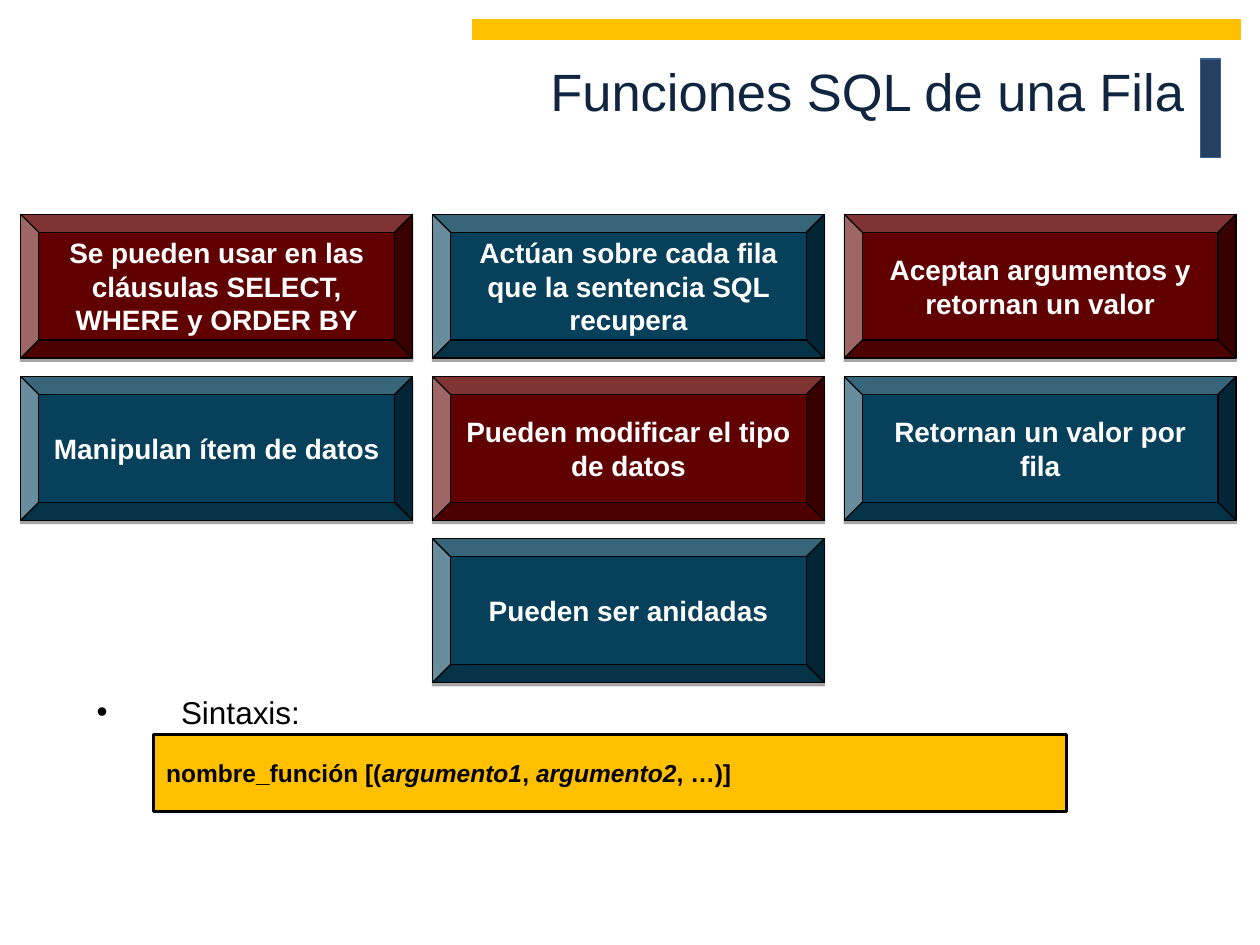
from lxml.etree import SubElement
from pptx import Presentation
from pptx.dml.color import RGBColor
from pptx.enum.shapes import MSO_SHAPE
from pptx.enum.text import MSO_ANCHOR, PP_ALIGN
from pptx.oxml.ns import qn
from pptx.util import Cm, Pt

NAVY = RGBColor(0x25, 0x40, 0x61)
STEEL = RGBColor(0x37, 0x60, 0x92)
AMBER = RGBColor(0xFF, 0xC0, 0x00)
INK = RGBColor(0x10, 0x25, 0x3F)
RED = RGBColor(0x60, 0x00, 0x00)
TEAL = RGBColor(0x06, 0x40, 0x5A)
BLACK = RGBColor(0x00, 0x00, 0x00)
WHITE = RGBColor(0xFF, 0xFF, 0xFF)

TITLE = "Funciones SQL de una Fila"
FEATURES = [
    ["Se pueden usar en las cláusulas SELECT, WHERE y ORDER BY",
     "Actúan sobre cada fila que la sentencia SQL recupera",
     "Aceptan argumentos y retornan un valor"],
    ["Manipulan ítem de datos",
     "Pueden modificar el tipo de datos",
     "Retornan un valor por fila"],
    [None, "Pueden ser anidadas", None],
]
SYNTAX_LABEL = "Sintaxis:"
SYNTAX = [("nombre_función [(", False), ("argumento1", True), (", ", False),
          ("argumento2", True), (", …)]", False)]

GRID_LEFT, GRID_TOP = 0.42, 4.32
COLUMN_STEP, ROW_STEP = 8.3, 3.27
TILE_WIDTH, TILE_HEIGHT = 7.9, 2.9


def add_box(slide, preset, box, fill, line, line_width=0.75):
    shape = slide.shapes.add_shape(preset, *map(Cm, box))
    shape.shadow.inherit = False
    shape.fill.solid()
    shape.fill.fore_color.rgb = fill
    shape.line.color.rgb = line
    shape.line.width = Pt(line_width)
    return shape


def add_text_box(slide, box, anchor):
    frame = slide.shapes.add_textbox(*map(Cm, box)).text_frame
    frame.word_wrap = True
    frame.vertical_anchor = anchor
    return frame.paragraphs[0]


def style(paragraph, size, color, align, bold=False):
    paragraph.alignment = align
    font = paragraph.font
    font.name, font.size, font.bold = "Arial", Pt(size), bold
    font.color.rgb = color


def add_shadow(shape):
    effects = shape._element.spPr.find(qn("a:effectLst"))
    shadow = SubElement(effects, qn("a:outerShdw"), blurRad="0", dist=str(Pt(1.8)),
                        dir="5400000", rotWithShape="0")
    color = SubElement(shadow, qn("a:srgbClr"), val=str(BLACK))
    SubElement(color, qn("a:alpha"), val="35000")


def add_bullet(paragraph, indent):
    properties = paragraph._p.get_or_add_pPr()
    properties.set("marL", str(Cm(indent)))
    properties.set("indent", str(-Cm(indent)))
    SubElement(properties, qn("a:buFont"), typeface="Arial")
    SubElement(properties, qn("a:buChar"), char="•")


def main():
    presentation = Presentation()
    presentation.slide_width, presentation.slide_height = Cm(25.4), Cm(19.05)
    slide = presentation.slides.add_slide(presentation.slide_layouts[6])

    add_box(slide, MSO_SHAPE.RECTANGLE, (24.2, 1.19, 0.4, 1.98), NAVY, STEEL)
    add_box(slide, MSO_SHAPE.RECTANGLE, (9.53, 0.4, 15.47, 0.4), AMBER, AMBER)

    label = add_text_box(slide, (1.7, 14, 22.2, 1.14), MSO_ANCHOR.TOP)
    label.text = SYNTAX_LABEL
    label.line_spacing = 0.8
    add_bullet(label, 1.7)
    style(label, 18, BLACK, PP_ALIGN.JUSTIFY)

    title = add_text_box(slide, (2.5, 0, 21.63, 3.66), MSO_ANCHOR.MIDDLE)
    title.text = TITLE
    style(title, 30, INK, PP_ALIGN.RIGHT)

    syntax_box = add_box(slide, MSO_SHAPE.RECTANGLE, (3.1, 14.81, 18.4, 1.55),
                         AMBER, BLACK, 1.75)
    syntax_box.text_frame.vertical_anchor = MSO_ANCHOR.MIDDLE
    syntax = syntax_box.text_frame.paragraphs[0]
    style(syntax, 14, BLACK, PP_ALIGN.LEFT, bold=True)
    for text, is_argument in SYNTAX:
        run = syntax.add_run()
        run.text = text
        run.font.italic = is_argument

    for row, features in enumerate(FEATURES):
        for column, feature in enumerate(features):
            if feature is None:
                continue
            box = (GRID_LEFT + column * COLUMN_STEP, GRID_TOP + row * ROW_STEP,
                   TILE_WIDTH, TILE_HEIGHT)
            fill = TEAL if (row + column) % 2 else RED
            tile = add_box(slide, MSO_SHAPE.BEVEL, box, fill, BLACK)
            add_shadow(tile)
            tile.text_frame.word_wrap = True
            tile.text_frame.vertical_anchor = MSO_ANCHOR.MIDDLE
            paragraph = tile.text_frame.paragraphs[0]
            paragraph.text = feature
            style(paragraph, 16, WHITE, PP_ALIGN.CENTER, bold=True)

    presentation.save("out.pptx")


if __name__ == "__main__":
    main()
